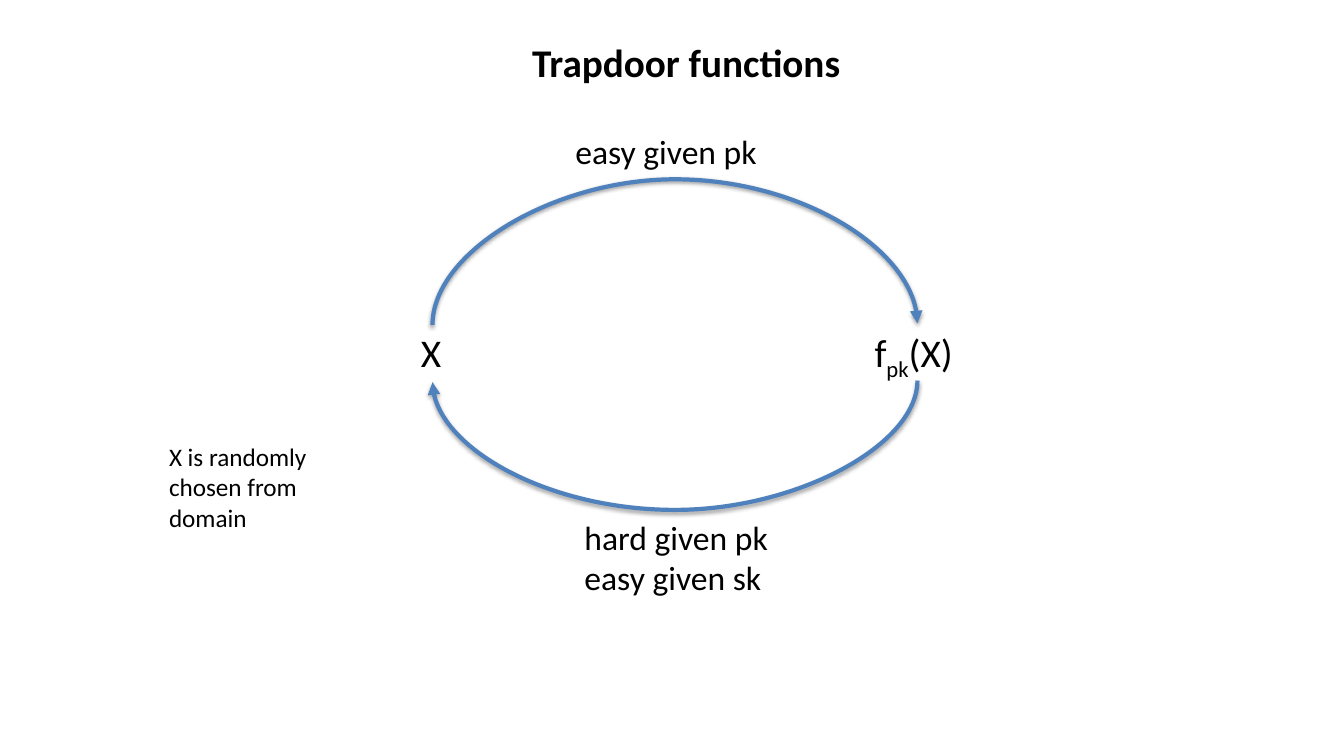
from lxml import etree
from pptx import Presentation
from pptx.dml.color import RGBColor
from pptx.enum.shapes import MSO_CONNECTOR
from pptx.enum.text import MSO_ANCHOR, MSO_AUTO_SIZE as AUTO, PP_ALIGN
from pptx.oxml.ns import qn
from pptx.util import Cm, Pt

COLOURS = {"text": "000000", "arrow": "4F81BD"}

deck = Presentation()
deck.slide_width, deck.slide_height = Cm(33.87), Cm(19.05)
page = deck.slides.add_slide(deck.slide_layouts[5])


def place(shape, left, top, width, height):
    frame = {"left": left, "top": top, "width": width, "height": height}
    for name, value in frame.items():
        setattr(shape, name, Cm(value))


def write(box, lines, size, bold=False, wrap=False, align=PP_ALIGN.LEFT):
    frame = box.text_frame
    settings = {"word_wrap": wrap, "auto_size": AUTO.SHAPE_TO_FIT_TEXT,
                "vertical_anchor": MSO_ANCHOR.TOP}
    for name, value in settings.items():
        setattr(frame, name, value)
    for index, line in enumerate(lines):
        para = frame.paragraphs[0] if index == 0 else frame.add_paragraph()
        para.alignment = align
        for text, baseline in line:
            span = para.add_run()
            span.text = text
            look = {"name": "Calibri", "size": Pt(size), "bold": bold}
            for name, value in look.items():
                setattr(span.font, name, value)
            span.font.color.rgb = RGBColor.from_string(COLOURS["text"])
            if baseline:
                span._r.get_or_add_rPr().set("baseline", str(baseline))


title = page.shapes.title
place(title, 13.11, 0.84, 8.36, 1.45)
write(title, [[("Trapdoor functions", 0)]], 28, bold=True, align=PP_ALIGN.CENTER)

labels = {
    "input": ((10.36, 8.15, 1.04, 1.45), [[("X", 0)]], 28, False),
    "output": ((21.79, 8.15, 2.59, 1.45),
               [[("f", 0), ("pk", -25000), ("(X)", 0)]], 28, False),
    "forward": ((14.25, 3.18, 5.16, 1.27), [[("easy given pk", 0)]], 24, False),
    "inverse": ((14.48, 12.9, 5.21, 2.31),
                [[("hard given pk", 0)], [("easy given sk", 0)]], 24, False),
    "domain": ((4.01, 11, 4.47, 2.57),
               [[("X is randomly chosen from domain", 0)]], 18, True),
}
boxes = {}
for name, (area, lines, size, wrap) in labels.items():
    boxes[name] = page.shapes.add_textbox(0, 0, 0, 0)
    place(boxes[name], *area)
    write(boxes[name], lines, size, wrap=wrap)

TOP_SITE, BOTTOM_SITE = 0, 2
MIDDLE, SPAN, THICKNESS = 17.01, 12.22, 0.04
arrows = [
    ("input", "output", TOP_SITE, 8.17, 3.67, True),
    ("output", "input", BOTTOM_SITE, 9.61, 3.26, False),
]
for start, end, site, level, rise, flipped in arrows:
    arrow = page.shapes.add_connector(MSO_CONNECTOR.CURVE, 0, 0, 0, 0)
    arrow.begin_connect(boxes[start], site)
    arrow.end_connect(boxes[end], site)
    place(arrow, MIDDLE - THICKNESS / 2, level - SPAN / 2, THICKNESS, SPAN)

    properties = arrow._element.spPr
    turn = properties.find(qn("a:xfrm"))
    turn.set("rot", "5400000")
    for flip in ("flipH", "flipV"):
        turn.set(flip, str(int(flipped)))
    geometry = properties.find(qn("a:prstGeom"))
    bends = geometry.find(qn("a:avLst"))
    if bends is None:
        bends = etree.SubElement(geometry, qn("a:avLst"))
    bend = round(rise / THICKNESS * 100000)
    etree.SubElement(bends, qn("a:gd"), name="adj1", fmla=f"val {bend}")

    arrow.line.color.rgb = RGBColor.from_string(COLOURS["arrow"])
    arrow.line.width = Pt(3)
    etree.SubElement(properties.find(qn("a:ln")), qn("a:tailEnd"), type="triangle")

deck.save("out.pptx")
